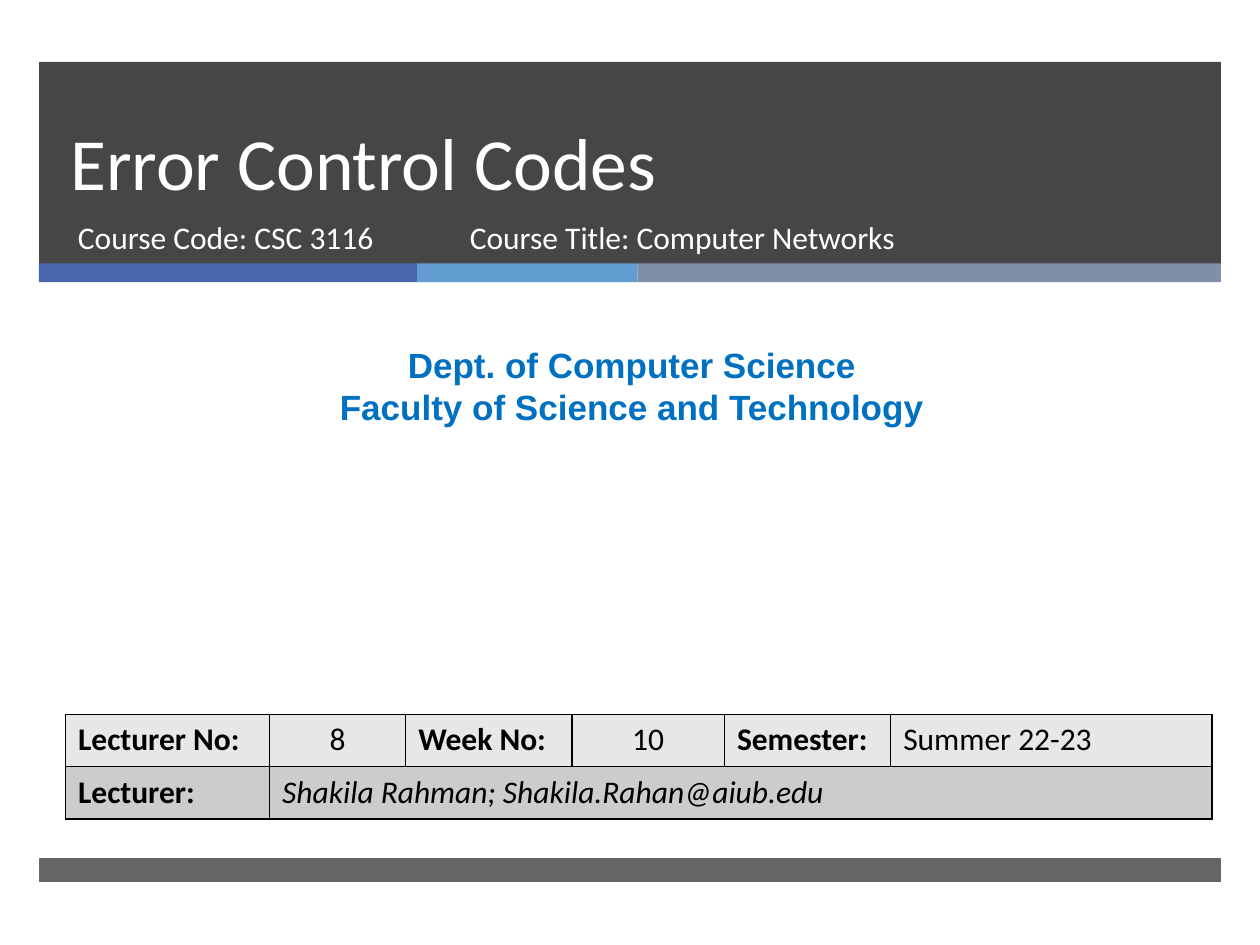
from lxml.etree import SubElement
from pptx import Presentation
from pptx.dml.color import RGBColor
from pptx.enum.shapes import MSO_SHAPE
from pptx.enum.text import MSO_ANCHOR, PP_ALIGN
from pptx.oxml import parse_xml
from pptx.oxml.ns import nsdecls, qn
from pptx.util import Inches, Pt

# Content: left, top, width, height, colour, opacity in percent
BARS = [
    (0.31, 0.49, 9.38, 1.61, "262626", 85),
    (0.31, 2.09, 3, 0.15, "4A66AC", 100),
    (3.31, 2.09, 1.75, 0.15, "629DD1", 100),
    (5.06, 2.09, 4.63, 0.15, "7F8FA9", 100),
    (0.31, 6.81, 9.38, 0.19, "262626", 70),
]
TITLE = "Error Control Codes"
COURSE_CODE = "Course Code: CSC 3116"
COURSE_TITLE = "Course Title: Computer Networks"
DEPARTMENT = ["Dept. of Computer Science", "Faculty of Science and Technology"]

COLUMN_WIDTHS = [1.62, 1.08, 1.32, 1.21, 1.32, 2.55]
ROW_HEIGHT = 0.415
ROW_FILLS = ["E7E7E7", "CCCCCC"]
LECTURE_ROWS = [
    ["Lecturer No:", "8", "Week No:", "10", "Semester:", "Summer 22-23"],
    ["Lecturer:", "Shakila Rahman; Shakila.Rahan@aiub.edu"],
]


def color(value):
    return RGBColor.from_string(value)


def style(paragraph, size, font_color, name="Calibri", bold=False, italic=False):
    font = paragraph.font
    font.size, font.name, font.bold, font.italic = Pt(size), name, bold, italic
    font.color.rgb = color(font_color)


def add_bar(slide, left, top, width, height, fill, opacity):
    shape = slide.shapes.add_shape(
        MSO_SHAPE.RECTANGLE, Inches(left), Inches(top), Inches(width), Inches(height))
    shape.shadow.inherit = False
    shape.line.fill.background()
    shape.fill.solid()
    shape.fill.fore_color.rgb = color(fill)
    if opacity < 100:
        fill_color = shape.fill._xPr.find(qn("a:solidFill"))[0]
        SubElement(fill_color, qn("a:alpha")).set("val", str(opacity * 1000))


def add_text(slide, box, lines, size, font_color, align=PP_ALIGN.LEFT, **font):
    frame = slide.shapes.add_textbox(*map(Inches, box)).text_frame
    frame.word_wrap = True
    frame.text = "\n".join(lines)
    for paragraph in frame.paragraphs:
        paragraph.alignment = align
        style(paragraph, size, font_color, **font)
    return frame


def add_borders(cell):
    properties = cell._tc.get_or_add_tcPr()
    for index, side in enumerate(("lnL", "lnR", "lnT", "lnB")):
        properties.insert(index, parse_xml(
            f'<a:{side} {nsdecls("a")} w="12700"><a:solidFill>'
            f'<a:srgbClr val="000000"/></a:solidFill></a:{side}>'))


presentation = Presentation()
presentation.slide_width, presentation.slide_height = Inches(10), Inches(7.5)
slide = presentation.slides.add_slide(presentation.slide_layouts[6])

# Header, accent strip and footer bars
for bar in BARS:
    add_bar(slide, *bar)

# Title, course details and department
title = add_text(slide, (0.46, 0.49, 8.54, 1.19), [TITLE], 42, "FFFFFF")
title.vertical_anchor = MSO_ANCHOR.BOTTOM
title.paragraphs[0].line_spacing = Pt(46)
add_text(slide, (0.52, 1.68, 3.05, 0.53), [COURSE_CODE], 18, "FFFFFF")
add_text(slide, (3.63, 1.68, 4.55, 0.53), [COURSE_TITLE], 18, "FFFFFF")
add_text(slide, (0.08, 2.68, 9.87, 0.77), DEPARTMENT, 20, "0070C0",
         PP_ALIGN.CENTER, name="Arial", bold=True)

# Lecture table
table = slide.shapes.add_table(
    len(LECTURE_ROWS), len(COLUMN_WIDTHS), Inches(0.52), Inches(5.67),
    Inches(sum(COLUMN_WIDTHS)), Inches(ROW_HEIGHT * len(LECTURE_ROWS))).table
for column, width in zip(table.columns, COLUMN_WIDTHS):
    column.width = Inches(width)
for row_index, texts in enumerate(LECTURE_ROWS):
    table.rows[row_index].height = Inches(ROW_HEIGHT)
    for column_index in range(len(COLUMN_WIDTHS)):
        cell = table.cell(row_index, column_index)
        cell.fill.solid()
        cell.fill.fore_color.rgb = color(ROW_FILLS[row_index])
        add_borders(cell)
        if column_index < len(texts):
            text = texts[column_index]
            cell.text = text
            paragraph = cell.text_frame.paragraphs[0]
            paragraph.alignment = PP_ALIGN.CENTER if text.isdigit() else PP_ALIGN.LEFT
            style(paragraph, 18, "000000", bold=text.endswith(":"), italic="@" in text)
table.cell(1, 1).merge(table.cell(1, len(COLUMN_WIDTHS) - 1))

presentation.save("out.pptx")
